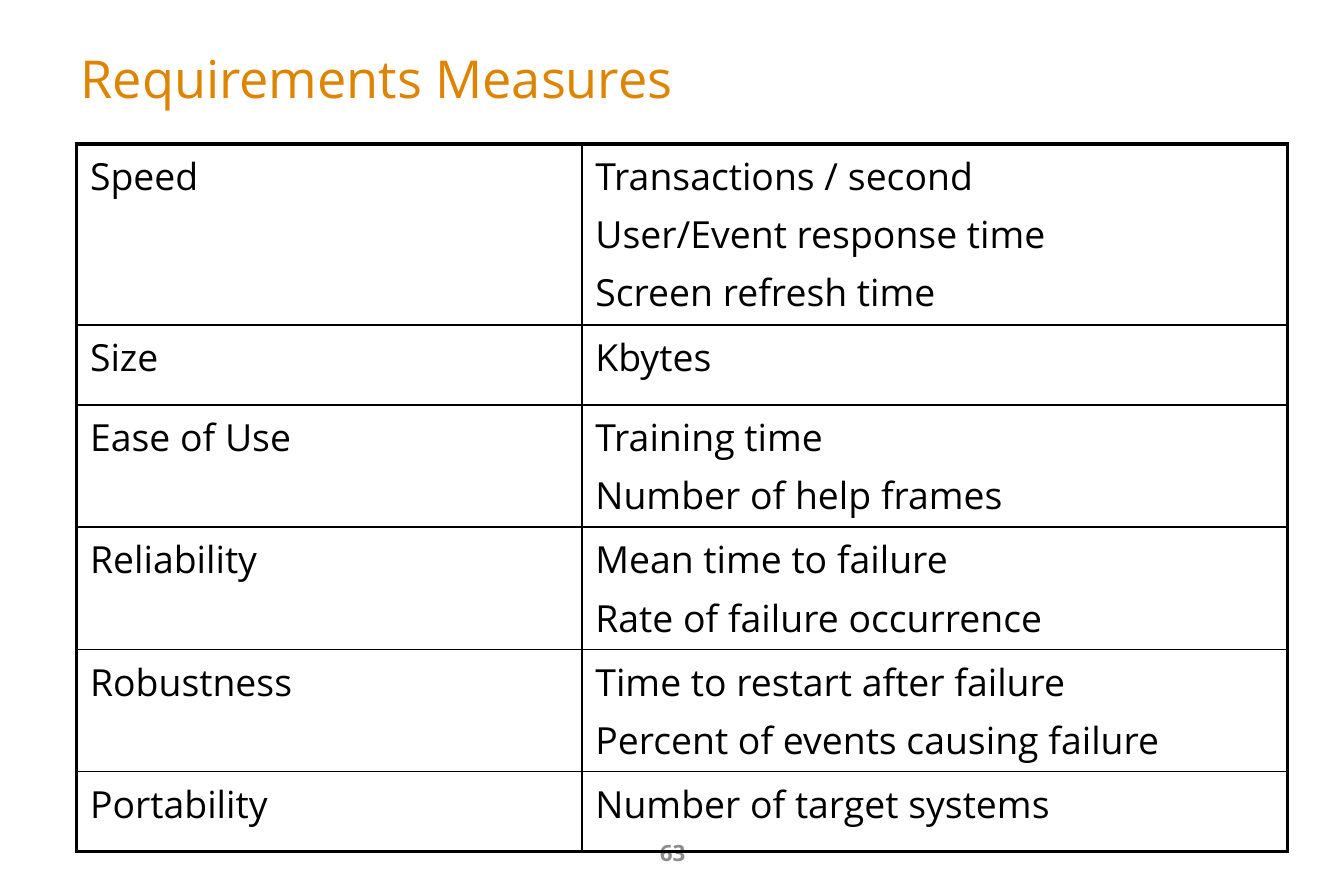
from pptx import Presentation
from pptx.dml.color import RGBColor as Color
from pptx.enum.text import MSO_ANCHOR as Anchor, PP_ALIGN as Align
from pptx.oxml.ns import qn
from pptx.util import Inches, Pt
from lxml.etree import SubElement

FONT = "Open Sans"
COLORS = {"title": "DE8400", "text": "000000", "border": "000000", "number": "8C8C8C"}
THIN, THICK = 1, 2.25

COLUMN_WIDTHS = [3.76, 5.25]
# Row height by number of measures
ROW_HEIGHTS = {1: 0.595, 2: 0.91, 3: 1.35}
MEASURES = [
    ("Speed", ["Transactions / second", "User/Event response time",
               "Screen refresh time"]),
    ("Size", ["Kbytes"]),
    ("Ease of Use", ["Training time", "Number of help frames"]),
    ("Reliability", ["Mean time to failure", "Rate of failure occurrence"]),
    ("Robustness", ["Time to restart after failure",
                    "Percent of events causing failure"]),
    ("Portability", ["Number of target systems"]),
]


def write_lines(frame, lines, size, color, bold=False, align=Align.LEFT, gap=0):
    """Fill a text frame with one paragraph per line."""
    for index, line in enumerate(lines):
        para = frame.add_paragraph() if index else frame.paragraphs[0]
        para.alignment = align
        para.space_before = Pt(gap)
        span = para.add_run()
        span.text = line
        formats = {"name": FONT, "size": Pt(size), "bold": bold}
        for name, value in formats.items():
            setattr(span.font, name, value)
        span.font.color.rgb = Color.from_string(COLORS[color])


def add_title(page, text):
    title = page.shapes.title
    place = {"left": 0.5, "top": 0.19, "width": 9, "height": 0.78}
    for name, value in place.items():
        setattr(title, name, Inches(value))
    title.text_frame.vertical_anchor = Anchor.MIDDLE
    write_lines(title.text_frame, [text], 28, "title")


def add_page_number(page, text):
    box = page.shapes.add_textbox(Inches(3.42), Inches(6.17), Inches(3.17), Inches(0.36))
    frame = box.text_frame
    frame.word_wrap = True
    frame.vertical_anchor = Anchor.MIDDLE
    write_lines(frame, [text], 12, "number", bold=True, align=Align.CENTER)


def set_borders(cell, widths):
    """Draw cell borders from a dict of side letters and widths in points."""
    properties = cell._tc.get_or_add_tcPr()
    for side, width in widths.items():
        line = SubElement(properties, qn(f"a:ln{side}"), w=str(Pt(width)))
        fill = SubElement(line, qn("a:solidFill"))
        SubElement(fill, qn("a:srgbClr"), val=COLORS["border"])


def add_measures_table(page):
    heights = [ROW_HEIGHTS[len(measures)] for _, measures in MEASURES]
    table = page.shapes.add_table(
        len(heights), len(COLUMN_WIDTHS), Inches(0.57), Inches(1.07),
        Inches(sum(COLUMN_WIDTHS)), Inches(sum(heights))).table
    table.first_row = table.horz_banding = False
    for column, width in zip(table.columns, COLUMN_WIDTHS):
        column.width = Inches(width)

    last_row, last_column = len(heights) - 1, len(COLUMN_WIDTHS) - 1
    for r, (name, measures) in enumerate(MEASURES):
        table.rows[r].height = Inches(heights[r])
        for c, lines in enumerate([[name], measures]):
            cell = table.cell(r, c)
            write_lines(cell.text_frame, lines, 20, "text", gap=4)
            # Thick outer frame, thin inner lines
            outer = {"L": c == 0, "R": c == last_column, "T": r == 0, "B": r == last_row}
            set_borders(cell, {side: THICK if edge else THIN
                               for side, edge in outer.items()})
            cell.fill.background()


def main():
    deck = Presentation()
    deck.slide_width, deck.slide_height = Inches(10), Inches(6.67)
    page = deck.slides.add_slide(deck.slide_layouts[5])
    add_page_number(page, "63")
    add_title(page, "Requirements Measures")
    add_measures_table(page)
    deck.save("out.pptx")


main()
